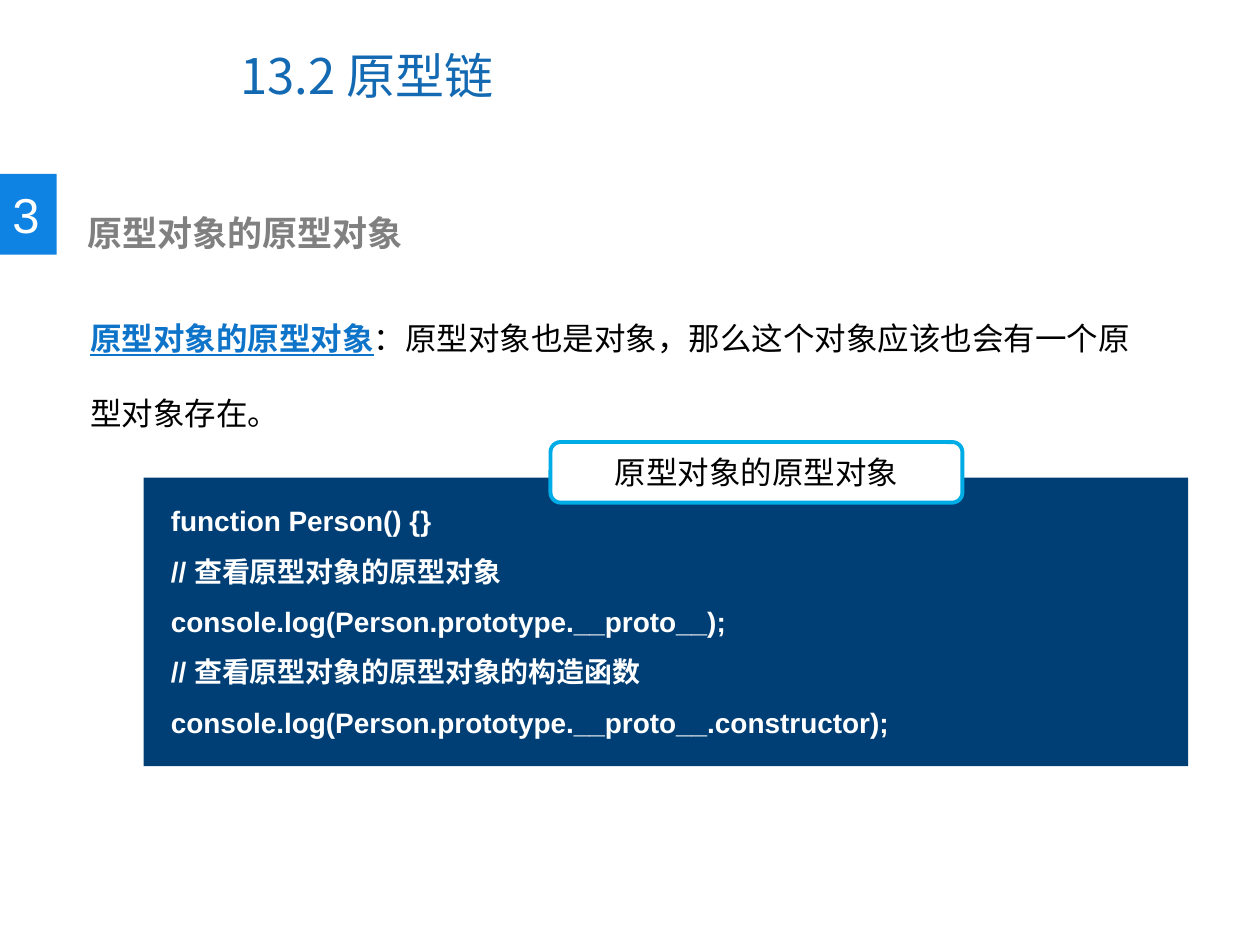
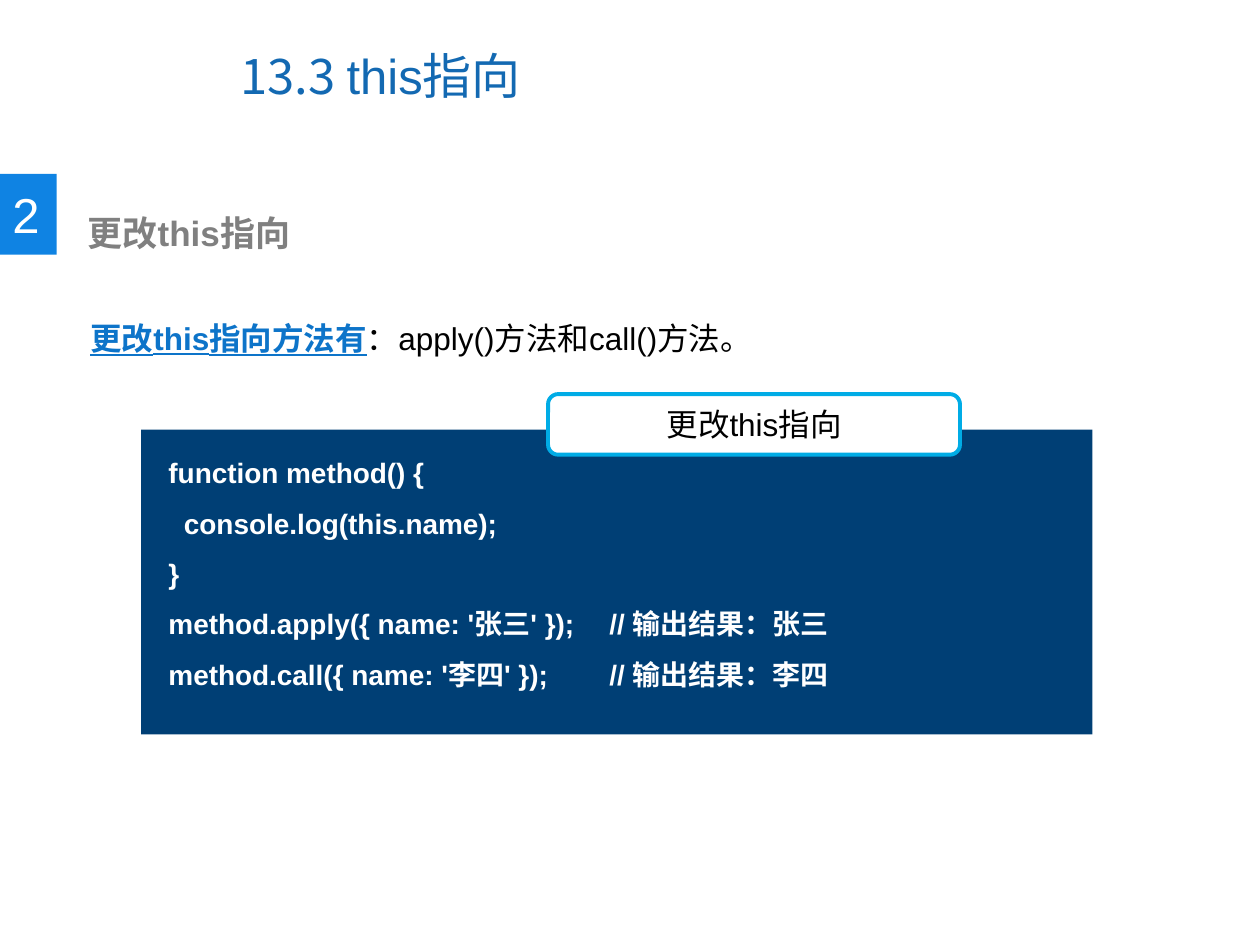
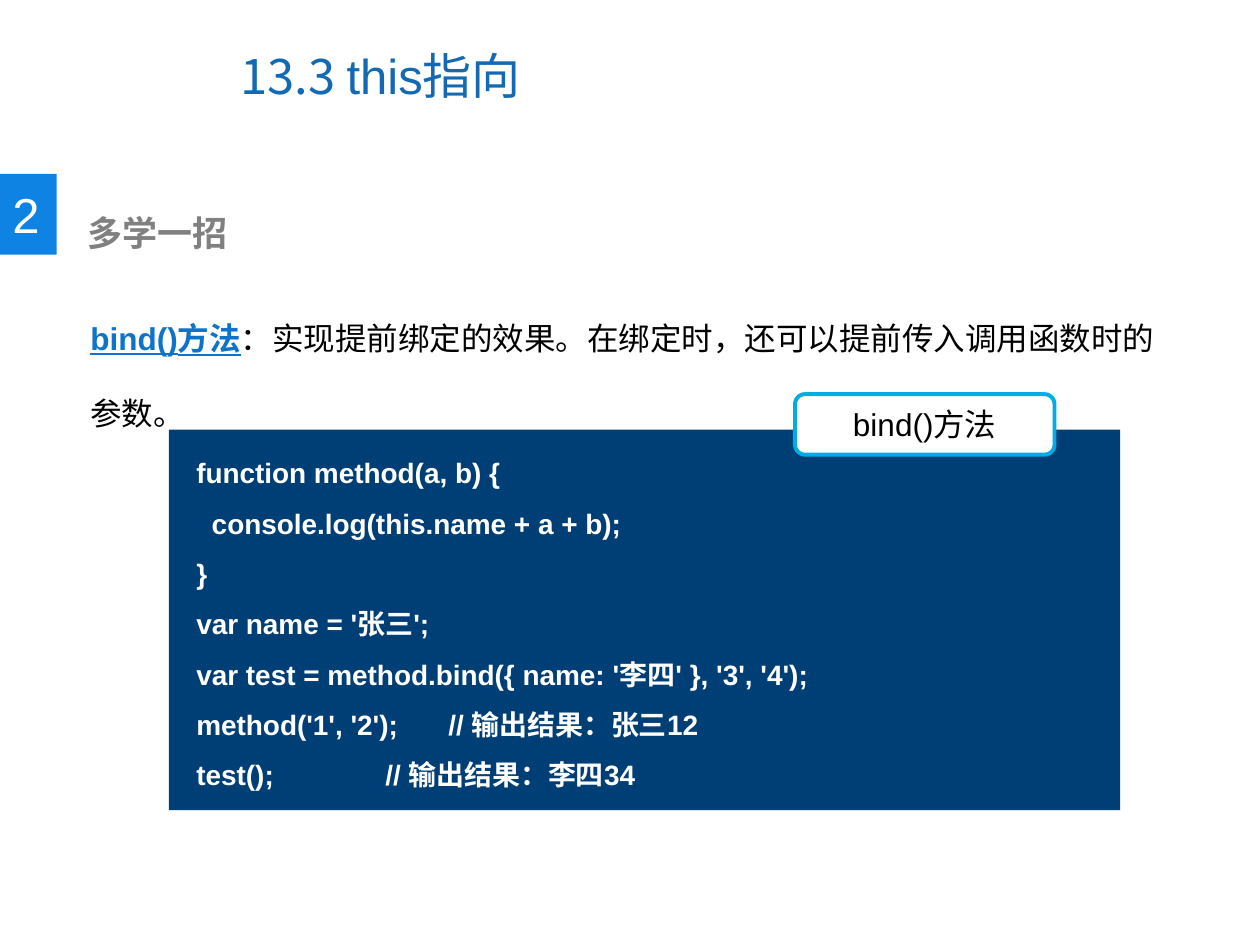
from dataclasses import dataclass

from lxml import etree
from pptx import Presentation
from pptx.dml.color import RGBColor
from pptx.enum.shapes import MSO_SHAPE
from pptx.enum.text import MSO_ANCHOR, PP_ALIGN
from pptx.oxml.ns import qn
from pptx.util import Pt

RECTANGLE = MSO_SHAPE.RECTANGLE
ROUNDED = MSO_SHAPE.ROUNDED_RECTANGLE
MIDDLE = MSO_ANCHOR.MIDDLE
LEFT, CENTER = PP_ALIGN.LEFT, PP_ALIGN.CENTER

COLORS = {
    "title": "1369B2",
    "badge": "0F83E3",
    "heading": "808080",
    "term": "0D74C9",
    "body": "000000",
    "panel": "003F75",
    "label_line": "00ACE6",
    "white": "FFFFFF",
}
LATIN_FONT = "Arial"
CHINESE_FONT = "Noto Sans CJK SC"
LABEL_HEIGHT = 34.6
LABEL_RISE = 20.3
CODE_INSET_X, CODE_INSET_Y = 8.6, 1.8


@dataclass(frozen=True)
class Box:
    left: float
    top: float
    width: float
    height: float

    def lengths(self) -> tuple[Pt, Pt, Pt, Pt]:
        return Pt(self.left), Pt(self.top), Pt(self.width), Pt(self.height)


@dataclass(frozen=True)
class Style:
    size: float
    color: str
    bold: bool = False
    underline: bool = False
    font: str = LATIN_FONT


@dataclass(frozen=True)
class Lesson:
    section: str
    topic: str
    number: str
    heading: str
    term: str
    explanation: str
    definition_height: float
    panel: Box
    code: tuple[str, ...]
    label: str
    label_left: float
    label_width: float


TITLE_BOX = Box(130.3, 12.2, 371.5, 61.2)
BADGE_BOX = Box(0, 99.4, 32.4, 46.1)
NUMBER_BOX = Box(0, 102.2, 30.2, 41)
HEADING_BOX = Box(33.8, 117.4, 370, 31.7)

SECTION_STYLE = Style(28, "title", font=CHINESE_FONT)
TOPIC_STYLE = Style(28, "title")
NUMBER_STYLE = Style(28, "white")
HEADING_STYLE = Style(20, "heading", bold=True)
TERM_STYLE = Style(18, "term", bold=True, underline=True)
BODY_STYLE = Style(18, "body")
CODE_STYLE = Style(16, "white", bold=True)

LESSONS = (
    Lesson(
        "13.2 ", "原型链", "3", "原型对象的原型对象",
        "原型对象的原型对象",
        "：原型对象也是对象，那么这个对象应该也会有一个原型对象存在。",
        94.3,
        Box(82, 272.9, 596.9, 164.9),
        (
            "function Person() {}",
            "// 查看原型对象的原型对象",
            "console.log(Person.prototype.__proto__);",
            "// 查看原型对象的原型对象的构造函数",
            "console.log(Person.prototype.__proto__.constructor);",
        ),
        "原型对象的原型对象", 314.6, 235.4,
    ),
    Lesson(
        "13.3 ", "this指向", "2", "更改this指向",
        "更改this指向方法有",
        "：apply()方法和call()方法。",
        43.9,
        Box(80.6, 245.5, 543.6, 174.2),
        (
            "function method() {",
            "  console.log(this.name);",
            "}",
            "method.apply({ name: '张三' }); \t// 输出结果：张三",
            "method.call({ name: '李四' });\t// 输出结果：李四",
        ),
        "更改this指向", 313.2, 235.4,
    ),
    Lesson(
        "13.3 ", "this指向", "2", "多学一招",
        "bind()方法",
        "：实现提前绑定的效果。在绑定时，还可以提前传入调用函数时的参数。",
        94.3,
        Box(96.5, 245.5, 543.6, 217.4),
        (
            "function method(a, b) {",
            "  console.log(this.name + a + b);",
            "}",
            "var name = '张三';",
            "var test = method.bind({ name: '李四' }, '3', '4');",
            "method('1', '2');\t// 输出结果：张三12",
            "test();\t\t// 输出结果：李四34",
        ),
        "bind()方法", 454.3, 148.3,
    ),
)


def rgb(name: str) -> RGBColor:
    return RGBColor.from_string(COLORS[name])


def add_text(paragraph, text: str, style: Style) -> None:
    run = paragraph.add_run()
    run.text = text
    font = run.font
    font.size = Pt(style.size)
    font.bold = style.bold
    font.underline = style.underline
    font.color.rgb = rgb(style.color)
    font.name = style.font
    etree.SubElement(run._r.get_or_add_rPr(), qn("a:ea"), typeface=CHINESE_FONT)


def add_frame(slide, box: Box, wrap: bool = True):
    frame = slide.shapes.add_textbox(*box.lengths()).text_frame
    frame.word_wrap = wrap
    return frame


def add_block(slide, preset, box: Box, fill: str):
    """Add a plain filled shape without outline or shadow."""
    block = slide.shapes.add_shape(preset, *box.lengths())
    block.shadow.inherit = False
    block.fill.solid()
    block.fill.fore_color.rgb = rgb(fill)
    block.line.fill.background()
    return block


def set_title(slide, lesson: Lesson) -> None:
    title = slide.shapes.title
    title.left, title.top, title.width, title.height = TITLE_BOX.lengths()
    title.text_frame.vertical_anchor = MIDDLE
    paragraph = title.text_frame.paragraphs[0]
    paragraph.alignment = LEFT
    add_text(paragraph, lesson.section, SECTION_STYLE)
    add_text(paragraph, lesson.topic, TOPIC_STYLE)


def add_heading(slide, lesson: Lesson) -> None:
    add_block(slide, RECTANGLE, BADGE_BOX, "badge")
    number = add_frame(slide, NUMBER_BOX, wrap=False)
    add_text(number.paragraphs[0], lesson.number, NUMBER_STYLE)
    heading = add_frame(slide, HEADING_BOX)
    heading.margin_left = Pt(16.2)
    add_text(heading.paragraphs[0], lesson.heading, HEADING_STYLE)


def add_definition(slide, lesson: Lesson) -> None:
    box = Box(44.6, 157, 622.8, lesson.definition_height)
    paragraph = add_frame(slide, box).paragraphs[0]
    paragraph.line_spacing = 2.0
    add_text(paragraph, lesson.term, TERM_STYLE)
    add_text(paragraph, lesson.explanation, BODY_STYLE)


def add_code(slide, lesson: Lesson) -> None:
    panel = lesson.panel
    add_block(slide, RECTANGLE, panel, "panel")
    code = add_frame(slide, Box(
        panel.left + CODE_INSET_X,
        panel.top + CODE_INSET_Y,
        panel.width - CODE_INSET_X,
        panel.height - 10,
    ))
    for index, line in enumerate(lesson.code):
        paragraph = code.add_paragraph() if index else code.paragraphs[0]
        paragraph.line_spacing = 1.5
        add_text(paragraph, line, CODE_STYLE)


def add_label(slide, lesson: Lesson) -> None:
    """Add the caption that straddles the top edge of the code panel."""
    box = Box(lesson.label_left, lesson.panel.top - LABEL_RISE,
              lesson.label_width, LABEL_HEIGHT)
    label = add_block(slide, ROUNDED, box, "white")
    label.line.color.rgb = rgb("label_line")
    label.line.width = Pt(2.25)
    label.text_frame.vertical_anchor = MIDDLE
    paragraph = label.text_frame.paragraphs[0]
    paragraph.alignment = CENTER
    add_text(paragraph, lesson.label, BODY_STYLE)


def main() -> None:
    deck = Presentation()
    deck.slide_width, deck.slide_height = Pt(720), Pt(540)
    title_only = deck.slide_layouts[5]
    for lesson in LESSONS:
        slide = deck.slides.add_slide(title_only)
        set_title(slide, lesson)
        add_definition(slide, lesson)
        add_heading(slide, lesson)
        add_code(slide, lesson)
        add_label(slide, lesson)
    deck.save("out.pptx")


if __name__ == "__main__":
    main()
